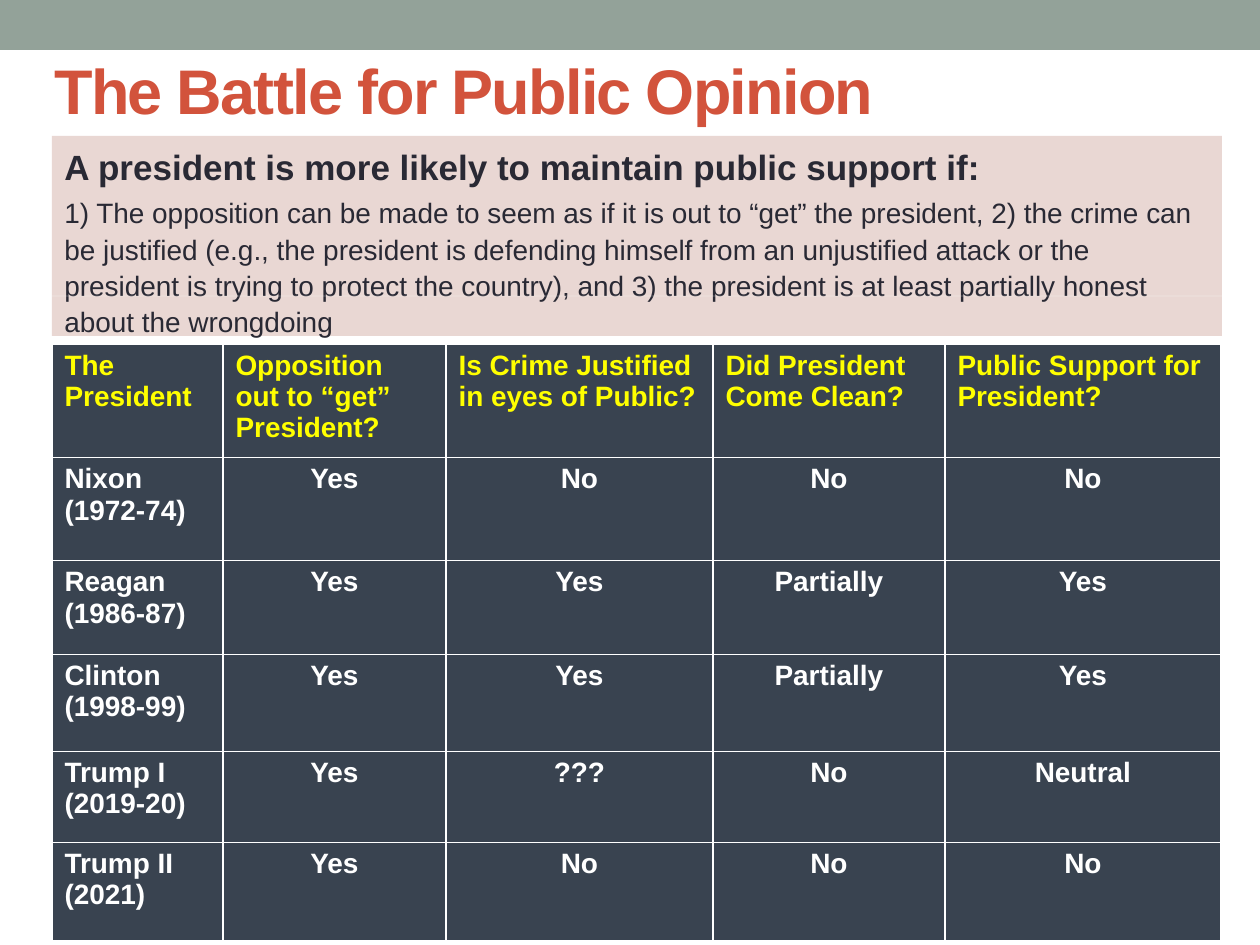
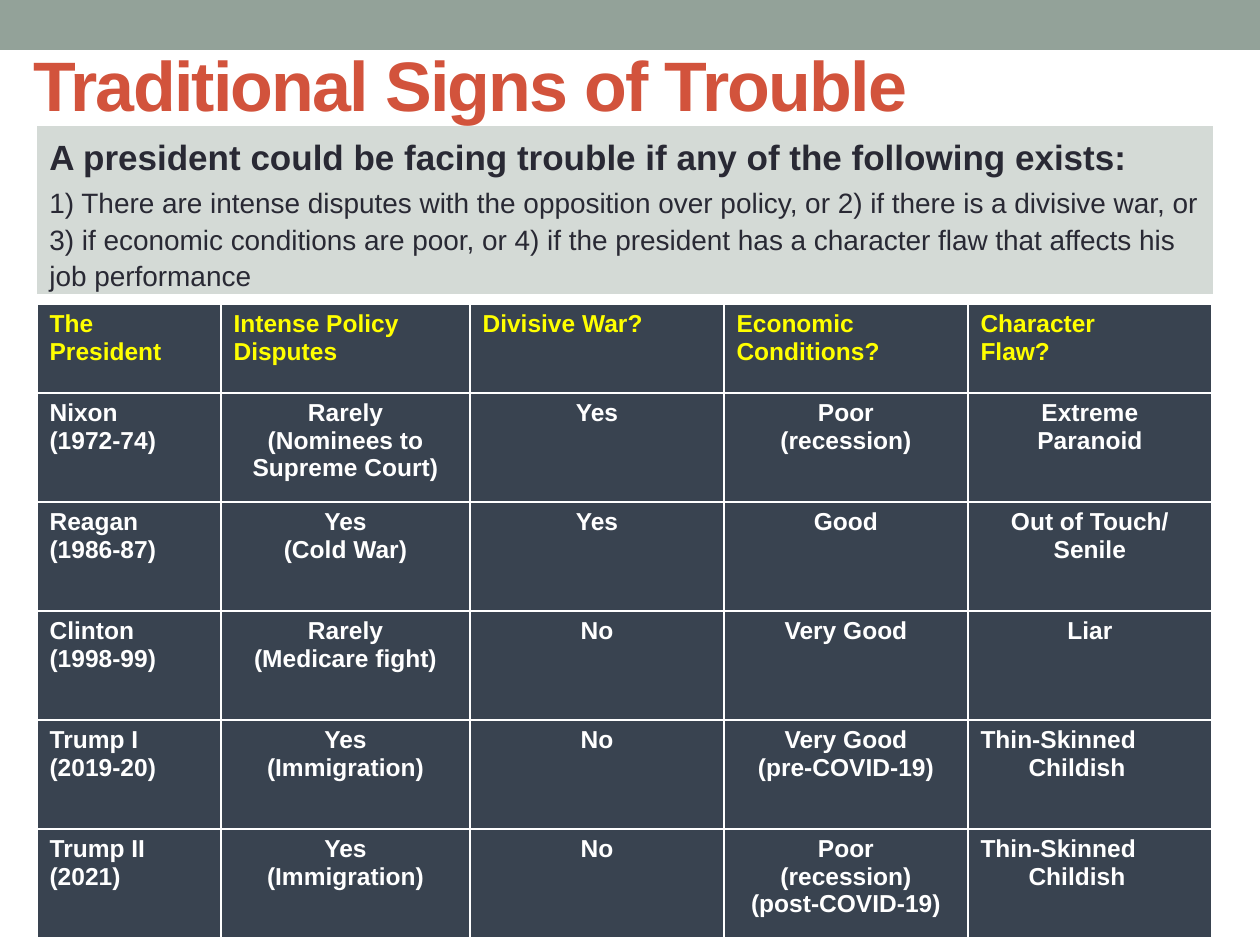
"""Build two slides comparing presidents in trouble, each with a claim and a table."""
import pptx
import pptx.dml.color
import pptx.enum.shapes
import pptx.enum.text
import pptx.oxml
import pptx.oxml.ns
import pptx.util

PX = 914400 / 126
FONT = "Arial"
COLORS = {
    "band": "93A299", "title": "D2533C", "ink": "292934", "rose": "E9D7D3",
    "sage": "D4DAD6", "cell": "394350", "heading": "FFFF00", "white": "FFFFFF",
}
ALIGN = pptx.enum.text.PP_ALIGN
HANGING = 48

SLIDES = [
    {
        "title": "The Battle for Public Opinion", "title_size": 36,
        "title_box": (42, 42, 1071, 94),
        "claim": "A president is more likely to maintain public support if:",
        "reasons": "1) The opposition can be made to seem as if it is out to “get” the president, "
                   "2) the crime can be justified (e.g., the president is defending himself from an "
                   "unjustified attack or the president is trying to protect the country), and "
                   "3) the president is at least partially honest about the wrongdoing",
        "claim_box": (52, 136, 1170, 200), "claim_fill": "rose", "hairline": 296,
        "table_at": (52, 344), "table_size": 16,
        "columns": [171, 223, 267, 232, 276],
        "rows": [108, 103, 94, 97, 91, 98],
        "cells": [
            ["The President", "Opposition out to “get” President?",
             "Is Crime Justified in eyes of Public?", "Did President Come Clean?",
             "Public Support for President?"],
            ["Nixon (1972-74)", "Yes", "No", "No", "No"],
            ["Reagan (1986-87)", "Yes", "Yes", "Partially", "Yes"],
            ["Clinton (1998-99)", "Yes", "Yes", "Partially", "Yes"],
            ["Trump I\v(2019-20)", "Yes", "???", "No", "Neutral"],
            ["Trump II\v(2021)", "Yes", "No", "No", "No"],
        ],
    },
    {
        "title": "Traditional Signs of Trouble", "title_size": 40,
        "title_box": (21, 21, 1071, 126),
        "claim": "A president could be facing trouble if any of the following exists:",
        "reasons": "1) There are intense disputes with the opposition over policy, or 2) if there is "
                   "a divisive war, or 3) if economic conditions are poor, or 4) if the president "
                   "has a character flaw that affects his job performance",
        "claim_box": (37, 126, 1176, 168), "claim_fill": "sage", "hairline": None,
        "table_at": (37, 304), "table_size": 14,
        "columns": [184, 249, 254, 244, 244],
        "rows": [89] + [109] * 5,
        "cells": [
            ["The\nPresident", "Intense Policy\nDisputes", "Divisive War?",
             "Economic\nConditions?", "Character\nFlaw?"],
            ["Nixon\n(1972-74)", "Rarely\n(Nominees to\nSupreme Court)", "Yes",
             "Poor\n(recession)", "Extreme\nParanoid"],
            ["Reagan\n(1986-87)", "Yes\n(Cold War)", "Yes", "Good", "Out of Touch/\nSenile"],
            ["Clinton\n(1998-99)", "Rarely\n(Medicare fight)", "No", "Very Good", "Liar"],
            ["Trump I\n(2019-20)", "Yes\n(Immigration)", "No",
             "Very Good\n(pre-COVID-19)", "Thin-Skinned\vChildish"],
            ["Trump II\n(2021)", "Yes\n(Immigration)", "No",
             "Poor\n(recession)\n(post-COVID-19)", "Thin-Skinned\vChildish"],
        ],
    },
]


def add_panel(slide, box, color):
    """Add a plain filled rectangle placed in px."""
    panel = slide.shapes.add_shape(
        pptx.enum.shapes.MSO_SHAPE.RECTANGLE, *(round(length * PX) for length in box))
    panel.shadow.inherit = False
    panel.fill.solid()
    panel.fill.fore_color.rgb = pptx.dml.color.RGBColor.from_string(COLORS[color])
    panel.line.fill.background()
    return panel


def style(paragraph, size, color, bold=True, align=ALIGN.LEFT):
    """Set the font and alignment of a paragraph."""
    paragraph.alignment = align
    paragraph.font.name = FONT
    paragraph.font.size = pptx.util.Pt(size)
    paragraph.font.bold = bold
    paragraph.font.color.rgb = pptx.dml.color.RGBColor.from_string(COLORS[color])


deck = pptx.Presentation()
deck.slide_width = round(1260 * PX)
deck.slide_height = round(945 * PX)

for content in SLIDES:
    slide = deck.slides.add_slide(deck.slide_layouts[6])
    add_panel(slide, (0, 0, 1260, 50), "band")

    heading = slide.shapes.add_textbox(
        *(round(length * PX) for length in content["title_box"])).text_frame
    heading.word_wrap = True
    heading.vertical_anchor = pptx.enum.text.MSO_ANCHOR.MIDDLE
    heading.text = content["title"]
    style(heading.paragraphs[0], content["title_size"], "title")
    heading.paragraphs[0].runs[0]._r.get_or_add_rPr().set("spc", "-100")

    claim = add_panel(slide, content["claim_box"], content["claim_fill"]).text_frame
    claim.word_wrap = True
    claim.vertical_anchor = pptx.enum.text.MSO_ANCHOR.TOP
    claim.text = content["claim"] + "\n" + content["reasons"]
    statement, reasons = claim.paragraphs
    style(statement, 20, "ink")
    style(reasons, 16, "ink", bold=False)
    statement.line_spacing = reasons.line_spacing = 1.08
    reasons.space_before = pptx.util.Pt(3.2)

    if content["hairline"]:
        add_panel(slide, (0, content["hairline"], 1260, 0), "white")

    left, top = content["table_at"]
    columns, rows = content["columns"], content["rows"]
    presidents = slide.shapes.add_table(
        len(rows), len(columns), round(left * PX), round(top * PX),
        round(sum(columns) * PX), round(sum(rows) * PX)).table
    presidents.first_row = presidents.horz_banding = False
    for column, width in zip(presidents.columns, columns):
        column.width = round(width * PX)
    for row, height in zip(presidents.rows, rows):
        row.height = round(height * PX)

    for r, answers in enumerate(content["cells"]):
        for c, answer in enumerate(answers):
            cell = presidents.cell(r, c)
            cell.text = answer
            for side in ("lnL", "lnR", "lnT", "lnB"):
                cell._tc.get_or_add_tcPr().append(pptx.oxml.parse_xml(
                    f'<a:{side} {pptx.oxml.ns.nsdecls("a")} w="12700"><a:solidFill>'
                    f'<a:srgbClr val="{COLORS["white"]}"/></a:solidFill></a:{side}>'))
            cell.fill.solid()
            cell.fill.fore_color.rgb = pptx.dml.color.RGBColor.from_string(COLORS["cell"])
            hanging = c > 0 and "\v" in answer
            if hanging:
                align = ALIGN.JUSTIFY
            else:
                align = ALIGN.CENTER if r and c else ALIGN.LEFT
            for paragraph in cell.text_frame.paragraphs:
                style(paragraph, content["table_size"], "white" if r else "heading", align=align)
                if hanging:
                    margins = paragraph._p.get_or_add_pPr()
                    margins.set("marL", str(round(HANGING * PX)))
                    margins.set("indent", str(-round(HANGING * PX)))

deck.save("out.pptx")
